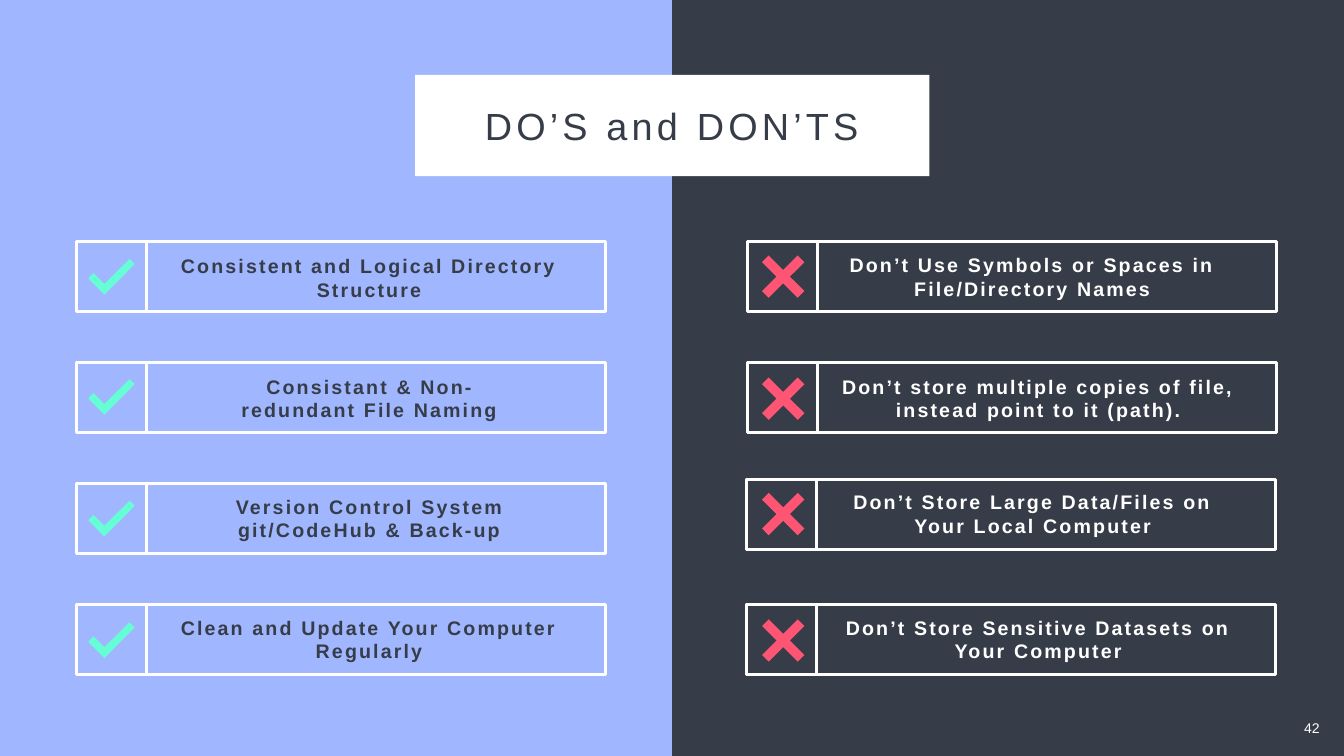
from dataclasses import dataclass

from pptx import Presentation
from pptx import util as u
from pptx.dml.color import RGBColor
from pptx.enum import shapes, text


@dataclass(frozen=True)
class Theme:
    dark: str = "363D48"
    periwinkle: str = "A0B7FF"
    white: str = "FFFFFF"
    mint: str = "66FFD5"
    red: str = "FF5575"
    font: str = "Arial"
    title_size: float = 54
    label_size: float = 28
    number_size: float = 20
    title_spacing: float = 6
    label_spacing: float = 3.1
    line_width: float = 4


THEME = Theme()
SLIDE_SIZE = (1918.8, 1080)
FRAME_WIDTH, FRAME_HEIGHT = 754.6, 100
LABEL_SIZE = (600, 75)

CHECK = [(59, 0), (23, 35.5), (7.5, 20), (0, 27.7), (23, 50.8), (66.2, 7.2)]
CROSS = [(9.5, 0), (0, 9.5), (20.7, 30.2), (0, 50.9), (9.5, 60.4), (30.2, 39.7),
         (50.9, 60.4), (60.4, 50.9), (39.7, 30.2), (60.4, 9.5), (50.9, 0), (30.2, 20.7)]

# Each row: label, frame left and top, label left and top, icon top
DOS = [
    ("Consistent and Logical Directory Structure", 110, 344.9, 226.8, 359.3, 370.1),
    ("Consistant & Non-\nredundant File Naming", 110, 517.7, 226.8, 531.4, 541.6),
    ("Version Control System\ngit/CodeHub & Back-up", 110, 690.5, 226.8, 703.4, 715.5),
    ("Clean and Update Your Computer Regularly", 110, 863.3, 226.8, 876.2, 889.2),
]
DONTS = [
    ("Don’t Use Symbols or Spaces in File/Directory Names",
     1067.8, 344.9, 1173.6, 357.8, 365),
    ("Don’t store multiple copies of file, instead point to it (path).",
     1067.8, 517.7, 1182.2, 531.4, 539.3),
    ("Don’t Store Large Data/Files on Your Local Computer",
     1066.3, 684.7, 1174.3, 697, 704.2),
    ("Don’t Store Sensitive Datasets on Your Computer",
     1066.3, 863.3, 1182.2, 876.2, 884.9),
]


def write_text(shape, words, *, size, color, bold=False, spacing=0, inset=3.6, wrap=True):
    """Fill a shape with centred text, one paragraph per line of words."""
    frame = shape.text_frame
    frame.word_wrap = wrap
    frame.auto_size = text.MSO_AUTO_SIZE.NONE
    frame.vertical_anchor = text.MSO_ANCHOR.TOP
    frame.margin_left = frame.margin_right = u.Pt(inset)
    frame.margin_top = frame.margin_bottom = u.Pt(inset)
    frame.text = words
    for paragraph in frame.paragraphs:
        paragraph.alignment = text.PP_ALIGN.CENTER
        for run in paragraph.runs:
            font = run.font
            font.name, font.size, font.bold = THEME.font, u.Pt(size), bold
            font.color.rgb = RGBColor.from_string(color)
            if spacing:
                run.font._element.set("spc", str(round(spacing * 100)))


class SlideBuilder:
    def __init__(self, slide, theme):
        self.slide = slide
        self.theme = theme

    def background(self, color):
        fill = self.slide.background.fill
        fill.solid()
        fill.fore_color.rgb = RGBColor.from_string(color)

    def fill(self, shape, color):
        shape.shadow.inherit = False
        shape.fill.solid()
        shape.fill.fore_color.rgb = RGBColor.from_string(color)
        shape.line.fill.background()

    def panel(self, box, color):
        shape = self.slide.shapes.add_shape(shapes.MSO_SHAPE.RECTANGLE, *map(u.Pt, box))
        self.fill(shape, color)

    def frame(self, left, top):
        """Group the wide outline with the square icon cell at its left end."""
        group = self.slide.shapes.add_group_shape()
        for x, width in ((left, FRAME_WIDTH), (left - 0.7, FRAME_HEIGHT)):
            box = (x, top, width, FRAME_HEIGHT)
            shape = group.shapes.add_shape(shapes.MSO_SHAPE.RECTANGLE, *map(u.Pt, box))
            shape.shadow.inherit = False
            shape.fill.background()
            shape.line.color.rgb = RGBColor.from_string(self.theme.white)
            shape.line.width = u.Pt(self.theme.line_width)

    def icon(self, outline, left, top, color):
        points = [(u.Pt(x), u.Pt(y)) for x, y in outline]
        builder = self.slide.shapes.build_freeform(*points[0])
        builder.add_line_segments(points[1:], close=True)
        self.fill(builder.convert_to_shape(u.Pt(left), u.Pt(top)), color)

    def label(self, words, box, **style):
        write_text(self.slide.shapes.add_textbox(*map(u.Pt, box)), words, **style)

    def title(self, words, box):
        title = self.slide.shapes.title
        title.left, title.top, title.width, title.height = map(u.Pt, box)
        write_text(title, words, size=self.theme.title_size, color=self.theme.dark,
                   spacing=self.theme.title_spacing)
        # Bring the title in front of its white panel
        title.element.getparent().append(title.element)

    def column(self, rows, outline, icon_left, icon_color, text_color):
        for words, left, top, label_left, label_top, icon_top in rows:
            self.frame(left, top)
            self.icon(outline, icon_left, icon_top, icon_color)
            self.label(words, (label_left, label_top, *LABEL_SIZE), bold=True,
                       size=self.theme.label_size, color=text_color,
                       spacing=self.theme.label_spacing)


def main():
    presentation = Presentation()
    presentation.slide_width, presentation.slide_height = map(u.Pt, SLIDE_SIZE)
    title_only = presentation.slide_layouts[5]
    builder = SlideBuilder(presentation.slides.add_slide(title_only), THEME)

    builder.background(THEME.dark)
    builder.panel((-4, 0, 963.4, 1080), THEME.periwinkle)
    builder.panel((592.6, 107, 734.4, 144.7), THEME.white)
    builder.title("DO’S and DON’TS", (645.8, 142.6, 627, 72))
    builder.column(DOS, CHECK, 126, THEME.mint, THEME.dark)
    builder.column(DONTS, CROSS, 1088, THEME.red, THEME.white)
    builder.label("42", (1854.7, 1021, 36.7, 38.9), size=THEME.number_size,
                  color=THEME.white, inset=7.2, wrap=False)

    presentation.save("out.pptx")


if __name__ == "__main__":
    main()
